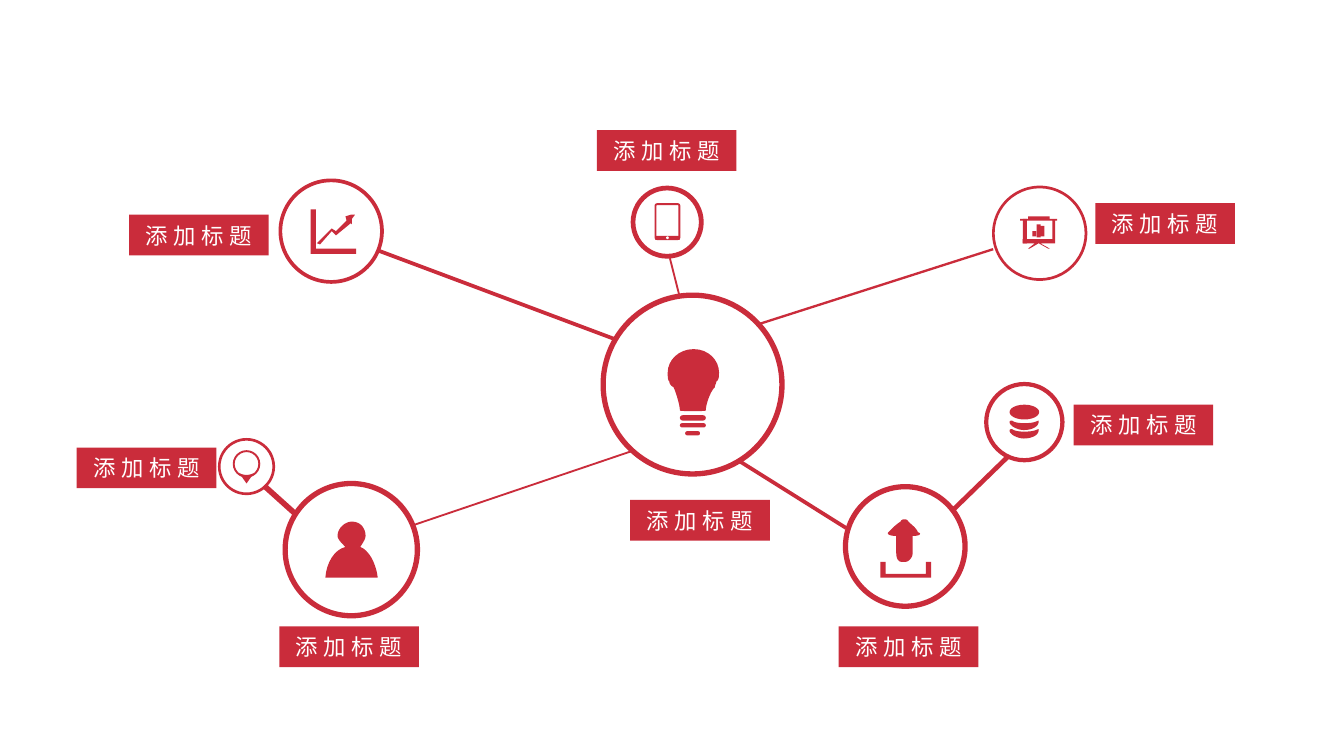
"""Build a hub-and-spoke slide of seven labelled icon rings around a light bulb."""
from collections import namedtuple

from lxml import etree
from pptx import Presentation
from pptx.dml.color import RGBColor
from pptx.enum import shapes, text
from pptx.oxml.ns import qn
from pptx.util import Cm, Pt

Theme = namedtuple("Theme", "red white font label_size label_spacing")
theme = Theme(RGBColor(0xCA, 0x2C, 0x3B), RGBColor(255, 255, 255), "Noto Sans CJK SC", Pt(12), "300")
kinds = shapes.MSO_SHAPE

presentation = Presentation()
presentation.slide_width, presentation.slide_height = Cm(25.4), Cm(14.29)
slide = presentation.slides.add_slide(presentation.slide_layouts[6])


def add_solid(kind, left, top, width, height, adjustment=None, color=theme.red):
    """Add a filled preset shape, measured in centimetres."""
    shape = slide.shapes.add_shape(kind, Cm(left), Cm(top), Cm(width), Cm(height))
    shape.shadow.inherit = False
    shape.fill.solid()
    shape.fill.fore_color.rgb = color
    shape.line.fill.background()
    if adjustment is not None:
        shape.adjustments[0] = adjustment
    return shape


def add_outline(start, *segments):
    """Add a filled outline; pairs are line ends and sextets are cubic curves."""
    points = [start]
    for segment in segments:
        if len(segment) == 2:
            points.append(segment)
            continue
        corners = [points[-1], segment[:2], segment[2:4], segment[4:]]
        for step in range(1, 9):
            t = step / 8
            weights = ((1 - t) ** 3, 3 * t * (1 - t) ** 2, 3 * t * t * (1 - t), t ** 3)
            points.append(tuple(sum(w * c[axis] for w, c in zip(weights, corners)) for axis in (0, 1)))
    builder = slide.shapes.build_freeform(Cm(start[0]), Cm(start[1]))
    builder.add_line_segments([(Cm(x), Cm(y)) for x, y in points[1:]], close=True)
    shape = builder.convert_to_shape()
    shape.shadow.inherit = False
    shape.fill.solid()
    shape.fill.fore_color.rgb = theme.red
    shape.line.fill.background()


spokes = [
    (12.66, 4.88, 12.84, 5.59, 1),
    (14.36, 6.12, 18.77, 4.71, 1.25),
    (13.98, 8.72, 15.99, 9.98, 2),
    (18.01, 9.64, 19.04, 8.64, 2.5),
    (7.8, 9.93, 11.96, 8.52, 1),
    (4.99, 9.18, 5.59, 9.72, 3),
    (7.16, 4.74, 11.62, 6.41, 2),
]
for x1, y1, x2, y2, weight in spokes:
    spoke = slide.shapes.add_connector(shapes.MSO_CONNECTOR.STRAIGHT, Cm(x1), Cm(y1), Cm(x2), Cm(y2))
    spoke.line.color.rgb = theme.red
    spoke.line.width = Pt(weight)
    etree.SubElement(spoke._element.spPr, qn("a:effectLst"))

Hub = namedtuple("Hub", "x y diameter thickness label_left label_top")
hubs = [
    Hub(13.09, 7.27, 3.48, 0.1, 11.91, 9.45),
    Hub(6.26, 4.37, 1.99, 0.07, 2.44, 4.06),
    Hub(12.61, 4.2, 1.38, 0.09, 11.28, 2.46),
    Hub(19.65, 4.41, 1.8, 0.05, 20.7, 3.84),
    Hub(19.36, 7.98, 1.52, 0.08, 20.29, 7.65),
    Hub(17.11, 10.33, 2.36, 0.1, 15.85, 11.84),
    Hub(6.64, 10.39, 2.6, 0.1, 5.28, 11.84),
    Hub(4.66, 8.82, 1.08, 0.05, 1.45, 8.46),
]
for hub in hubs:
    radius = hub.diameter / 2
    add_solid(kinds.DONUT, hub.x - radius, hub.y - radius, hub.diameter, hub.diameter,
              hub.thickness / hub.diameter)
    label = add_solid(kinds.RECTANGLE, hub.label_left, hub.label_top, 2.64, 0.77)
    frame = label.text_frame
    frame.word_wrap = False
    frame.auto_size = text.MSO_AUTO_SIZE.SHAPE_TO_FIT_TEXT
    frame.vertical_anchor = text.MSO_ANCHOR.MIDDLE
    paragraph = frame.paragraphs[0]
    paragraph.alignment = text.PP_ALIGN.CENTER
    run = paragraph.add_run()
    run.text = "添加标题"
    run.font.size = theme.label_size
    run.font.name = theme.font
    run.font.color.rgb = theme.white
    properties = run._r.get_or_add_rPr()
    properties.set("spc", theme.label_spacing)
    etree.SubElement(properties, qn("a:ea"), typeface=theme.font)

bulb_glass = [
    (13.59, 7.04), (13.59, 6.81, 13.39, 6.6, 13.11, 6.6), (12.83, 6.6, 12.62, 6.81, 12.62, 7.04),
    (12.62, 7.11, 12.62, 7.19, 12.65, 7.21), (12.65, 7.24, 12.67, 7.29, 12.73, 7.32),
    (12.78, 7.42, 12.85, 7.67, 12.85, 7.75), (12.85, 7.77, 12.88, 7.77, 12.93, 7.77),
    (13.26, 7.77), (13.31, 7.77, 13.34, 7.77, 13.34, 7.75),
    (13.34, 7.67, 13.41, 7.42, 13.51, 7.32), (13.51, 7.29, 13.54, 7.24, 13.54, 7.21),
    (13.59, 7.19, 13.59, 7.11, 13.59, 7.04),
]
chart_axes = [(5.97, 4.7), (5.97, 3.96), (5.87, 3.96), (5.87, 4.8), (6.73, 4.8), (6.73, 4.7)]
chart_trend = [
    (6.27, 4.37), (6.35, 4.45), (6.63, 4.22), (6.65, 4.24), (6.65, 4.14), (6.71, 4.06), (6.63, 4.06),
    (6.53, 4.09), (6.55, 4.17), (6.35, 4.37), (6.27, 4.32), (5.99, 4.6), (6.05, 4.62),
]
board_stand = [
    (19.98, 4.14), (19.84, 4.14), (19.84, 4.09), (19.43, 4.09), (19.43, 4.14), (19.28, 4.14),
    (19.28, 4.17), (19.89, 4.17), (19.89, 4.52), (19.33, 4.52), (19.33, 4.6), (19.56, 4.6),
    (19.43, 4.7), (19.46, 4.7), (19.63, 4.6), (19.81, 4.7), (19.84, 4.7), (19.66, 4.6),
    (19.94, 4.6), (19.94, 4.17), (19.98, 4.17),
]
upload_tray = [
    (17.6, 10.62), (17.6, 10.92), (16.64, 10.92), (16.64, 10.62),
    (16.74, 10.62), (16.74, 10.85), (17.5, 10.85), (17.5, 10.62),
]
upload_arrow = [
    (16.92, 10.13), (16.94, 10.13), (16.94, 10.46), (16.94, 10.54, 16.97, 10.62, 17.04, 10.62),
    (17.12, 10.62), (17.17, 10.62, 17.25, 10.54, 17.25, 10.46), (17.25, 10.13), (17.27, 10.13),
    (17.4, 10.13, 17.42, 10.08, 17.35, 10.06), (17.32, 9.98, 17.22, 9.91, 17.17, 9.86),
    (17.15, 9.8, 17.04, 9.8, 17.02, 9.86), (16.94, 9.91, 16.87, 9.98, 16.79, 10.06),
    (16.76, 10.08, 16.79, 10.13, 16.92, 10.13),
]
person = [
    (6.81, 10.34), (6.86, 10.26, 6.91, 10.19, 6.91, 10.13), (6.91, 9.98, 6.81, 9.86, 6.65, 9.86),
    (6.53, 9.86, 6.38, 9.98, 6.38, 10.13), (6.38, 10.19, 6.45, 10.26, 6.53, 10.34),
    (6.32, 10.39, 6.17, 10.64, 6.15, 10.92), (7.14, 10.92), (7.11, 10.64, 6.96, 10.39, 6.81, 10.34),
]
pin_tip = [(4.52, 8.94), (4.66, 9.14), (4.8, 8.94), (4.72, 8.99, 4.6, 8.99, 4.52, 8.94)]
for outline in (bulb_glass, chart_axes, chart_trend, board_stand, upload_tray, upload_arrow, person, pin_tip):
    add_outline(*outline)

for top in (7.98, 8.14):
    add_outline((19.35, top + 0.02), (19.25, top + 0.02, 19.15, top, 19.13, top - 0.03),
                (19.08, top - 0.03, 19.08, top, 19.08, top),
                (19.08, top + 0.07, 19.23, top + 0.15, 19.35, top + 0.15),
                (19.53, top + 0.15, 19.63, top + 0.07, 19.63, top), (19.63, top - 0.03),
                (19.56, top, 19.51, top + 0.02, 19.35, top + 0.02))
add_solid(kinds.OVAL, 19.08, 7.65, 0.56, 0.28)

for left, top, width, height in ((12.85, 7.85, 0.49, 0.1), (12.85, 8, 0.49, 0.08), (12.95, 8.15, 0.28, 0.08)):
    add_solid(kinds.ROUNDED_RECTANGLE, left, top, width, height, 0.5)

board_bars = [(19.33, 4.14, 0.08, 0.46), (19.51, 4.37, 0.08, 0.1), (19.59, 4.24, 0.08, 0.25), (19.66, 4.27, 0.08, 0.2)]
for bar in board_bars:
    add_solid(kinds.RECTANGLE, *bar)

add_solid(kinds.DONUT, 4.4, 8.51, 0.52, 0.52, 0.07)

tablet = add_solid(kinds.ROUNDED_RECTANGLE, 12.39, 3.86, 0.45, 0.66, 0.06)
tablet.fill.background()
tablet.line.color.rgb = theme.red
tablet.line.width = Pt(1)
add_solid(kinds.RECTANGLE, 12.38, 4.46, 0.47, 0.07)
add_solid(kinds.OVAL, 12.59, 4.47, 0.05, 0.05, color=theme.white)

presentation.save("out.pptx")
